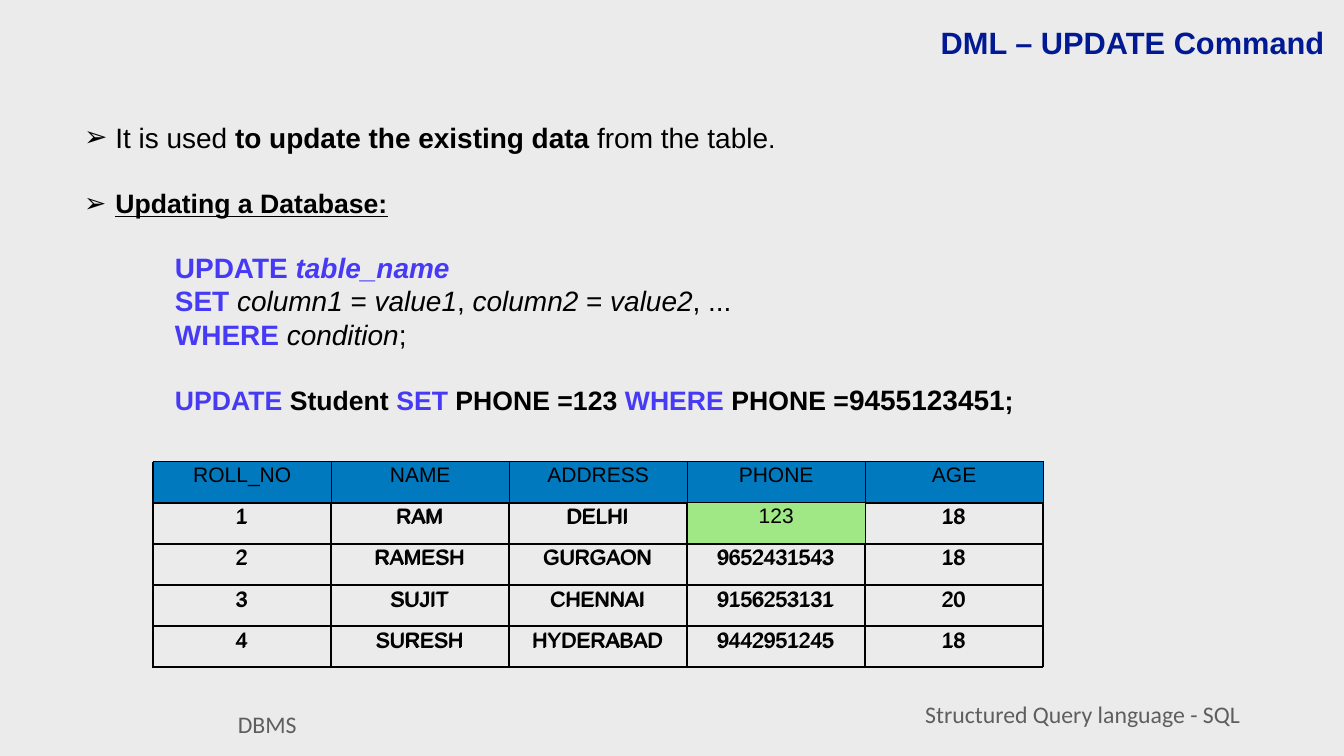
from lxml import etree
from pptx import Presentation
from pptx.dml.color import RGBColor
from pptx.enum.shapes import MSO_SHAPE
from pptx.enum.text import MSO_ANCHOR, MSO_AUTO_SIZE, PP_ALIGN
from pptx.oxml.ns import qn
from pptx.util import Inches, Pt

LEFT, CENTER, RIGHT = PP_ALIGN.LEFT, PP_ALIGN.CENTER, PP_ALIGN.RIGHT
TOP, MIDDLE = MSO_ANCHOR.TOP, MSO_ANCHOR.MIDDLE
RECT = MSO_SHAPE.RECTANGLE
NO_FIT = MSO_AUTO_SIZE.NONE

COLORS = {"ground": "EBEBEB", "title": "011993", "text": "000000",
          "keyword": "473AF4", "footer": "5E5E5E", "header": "0079BF",
          "updated": "A0E886"}

prs = Presentation()
prs.slide_width, prs.slide_height = Inches(26.67), Inches(15)


def place(x, y, w, h):
    return [round(share * side / 100) for share, side in
            zip((x, y, w, h), (prs.slide_width, prs.slide_height) * 2)]


def add_run(p, text, color="text", **fmt):
    r = p.add_run()
    r.text = text
    r.font.color.rgb = RGBColor.from_string(COLORS[color])
    for key, value in {"name": "Arial", "size": Pt(40), "bold": False, **fmt}.items():
        setattr(r.font, key, value)


s = prs.slides.add_slide(prs.slide_layouts[5])
s.background.fill.solid()
s.background.fill.fore_color.rgb = RGBColor.from_string(COLORS["ground"])

FOOTERS = [("DBMS", (1.57, 93.13, 36.63, 5.2)),
           ("Structured Query language - SQL", (62.24, 91.73, 36.63, 5.53))]
for text, box in FOOTERS:
    sp = s.shapes.add_shape(RECT, *place(*box))
    sp.shadow.inherit = False
    sp.fill.solid()
    sp.fill.fore_color.rgb = RGBColor.from_string(COLORS["ground"])
    sp.line.fill.background()
    tf = sp.text_frame
    for key in ("margin_left", "margin_right", "margin_top", "margin_bottom"):
        setattr(tf, key, 0)
    tf.vertical_anchor = MIDDLE
    p = tf.paragraphs[0]
    p.alignment = CENTER
    add_run(p, text, "footer", name="Calibri", size=Pt(34))

title = s.shapes.title
title.left, title.top, title.width, title.height = place(36.48, 2.73, 62.32, 10.6)
body = s.shapes.add_textbox(*place(6.04, 15.47, 87.48, 40))
for sp, anchor, top in ((title, TOP, 0.07), (body, MIDDLE, 0.06)):
    frame = {"word_wrap": True, "auto_size": NO_FIT, "vertical_anchor": anchor,
             "margin_left": Inches(0.06), "margin_right": Inches(0.06),
             "margin_top": Inches(top), "margin_bottom": Inches(0.06)}
    for key, value in frame.items():
        setattr(sp.text_frame, key, value)
p = title.text_frame.paragraphs[0]
p.alignment = RIGHT
add_run(p, "DML – UPDATE Command", "title", size=Pt(44), bold=True)

BOLD, ITALIC, SMALL = {"bold": True}, {"italic": True}, {"size": Pt(38)}
KEY = {"color": "keyword", "bold": True}
STRONG = {**BOLD, **SMALL}
SMALL_KEY = {**KEY, **SMALL}
PARAGRAPHS = [
    ("bullet", 0, [[("It is used ", {}), ("to update the existing data ", BOLD),
                    ("from the table", {}), (".", SMALL)]]),
    ("bullet", 45, [[("Updating a Database:", {**STRONG, "underline": True})]]),
    ("code", 45, [
        [("UPDATE ", KEY), ("table_name", {**KEY, **ITALIC})],
        [("SET ", KEY), ("column1 ", ITALIC), ("=", {}), (" value1", ITALIC), (",", {}),
         (" column2 ", ITALIC), ("=", {}), (" value2", ITALIC), (", ...", {})],
        [("WHERE ", KEY), ("condition", ITALIC), (";", {})]]),
    ("code", 45, [[("UPDATE", SMALL_KEY), (" Student ", STRONG), ("SET", SMALL_KEY),
                   (" PHONE =123 ", STRONG), ("WHERE", SMALL_KEY), (" PHONE =", STRONG),
                   ("9455123451", BOLD), (";", STRONG)]]),
]
INDENTS = {"bullet": (2.32, -2.32), "code": (6.75, 0)}
tf = body.text_frame
for i, (kind, gap, lines) in enumerate(PARAGRAPHS):
    p = tf.add_paragraph() if i else tf.paragraphs[0]
    for key, value in {"alignment": LEFT, "line_spacing": Pt(48), "space_before": Pt(gap)}.items():
        setattr(p, key, value)
    pPr = p._p.get_or_add_pPr()
    for key, share in zip(("marL", "indent"), INDENTS[kind]):
        pPr.set(key, str(round(prs.slide_width * share / 100)))
    if kind == "bullet":
        etree.SubElement(pPr, qn("a:buFont"), typeface="Arial")
        etree.SubElement(pPr, qn("a:buChar"), char="➢")
    for j, line in enumerate(lines):
        if j:
            p.add_line_break()
        for text, fmt in line:
            add_run(p, text, **fmt)

HEADINGS = ("ROLL_NO", "NAME", "ADDRESS", "PHONE", "AGE")
STUDENTS = [("RAM", "DELHI", "9455123451", "18"),
            ("RAMESH", "GURGAON", "9652431543", "18"),
            ("SUJIT", "CHENNAI", "9156253131", "20"),
            ("SURESH", "HYDERABAD", "9442951245", "18")]
ROWS = [HEADINGS] + [(str(n), *student) for n, student in enumerate(STUDENTS, 1)]
TABLES = [((11.32, 61.13, 66.22, 27.2), {}),
          ((11.4, 61, 66.22, 27.2), {(1, 3): "123"})]
for box, updates in TABLES:
    table = s.shapes.add_table(5, 5, *place(*box)).table
    table.first_row = table.horz_banding = False
    for i, row in enumerate(ROWS):
        for j, text in enumerate(row):
            cell = table.cell(i, j)
            fill = "header" if i == 0 else "updated" if (i, j) in updates else None
            if fill:
                cell.fill.solid()
                cell.fill.fore_color.rgb = RGBColor.from_string(COLORS[fill])
            else:
                cell.fill.background()
            p = cell.text_frame.paragraphs[0]
            p.alignment = CENTER
            add_run(p, updates.get((i, j), text), size=Pt(30))
            tcPr = cell._tc.get_or_add_tcPr()
            for k, side in enumerate(("a:lnL", "a:lnR", "a:lnT", "a:lnB")):
                ln = etree.Element(qn(side), w=str(Pt(1)))
                solid = etree.SubElement(ln, qn("a:solidFill"))
                etree.SubElement(solid, qn("a:srgbClr"), val=COLORS["text"])
                tcPr.insert(k, ln)

prs.save("out.pptx")
